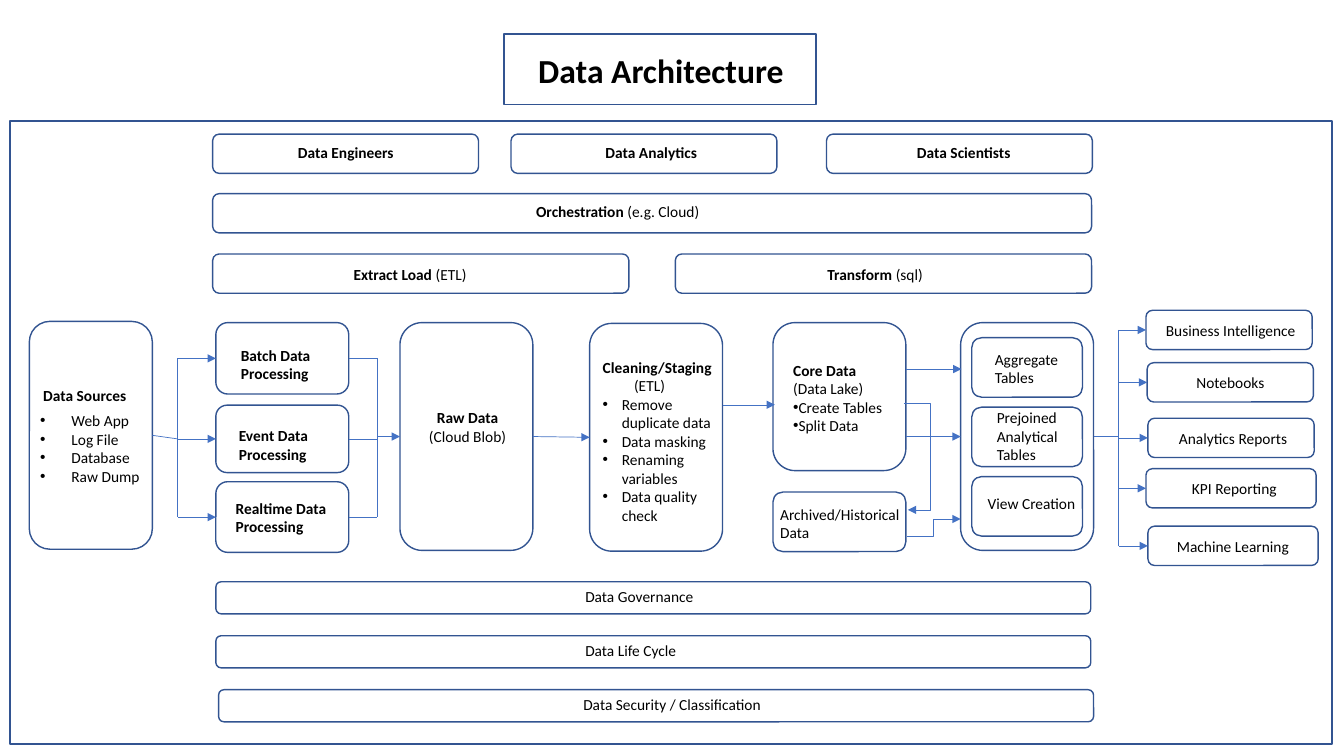
from dataclasses import dataclass

from lxml import etree
from pptx import Presentation, util as u
from pptx.dml.color import RGBColor
from pptx.enum import shapes as kinds, text as txt
from pptx.oxml.ns import qn

LEFT, RIGHT = 1, 3


@dataclass(frozen=True)
class Theme:
    """Colours, type sizes and line widths of the slide."""
    font: str = "Calibri"
    ink: str = "000000"
    outline: str = "325491"
    flow: str = "4472C4"
    title_size: float = 24
    label_size: float = 11
    outline_width: float = 1
    flow_width: float = 0.5
    thin_width: float = 0.25
    line_height: float = 0.46


class Board:
    """Draws the elements of one slide in a theme."""

    def __init__(self, slide, theme):
        self.slide, self.theme = slide, theme

    def style(self, target, **values):
        """Set each given attribute on the target."""
        for name, value in values.items():
            setattr(target, name, value)

    def stroke(self, line, colour, width):
        """Colour a line and set its width."""
        line.color.rgb = RGBColor.from_string(colour)
        line.width = u.Pt(width)

    def title(self, area, words):
        """Move, fill and format the title placeholder."""
        heading = self.slide.shapes.title
        self.style(heading, **dict(zip(("left", "top", "width", "height"), map(u.Cm, area))))
        self.style(heading.text_frame, word_wrap=True, vertical_anchor=txt.MSO_ANCHOR.TOP,
                   auto_size=txt.MSO_AUTO_SIZE.NONE)
        line = heading.text_frame.paragraphs[0]
        line.alignment = txt.PP_ALIGN.LEFT
        self.run(line, words, True, self.theme.title_size)

    def run(self, paragraph, words, bold, size):
        """Add one formatted run to a paragraph."""
        piece = paragraph.add_run()
        piece.text = words
        self.style(piece.font, name=self.theme.font, size=u.Pt(size), bold=bold)
        piece.font.color.rgb = RGBColor.from_string(self.theme.ink)

    def box(self, area, kind=kinds.MSO_SHAPE.ROUNDED_RECTANGLE):
        """Add an outlined shape without fill."""
        outline = self.slide.shapes.add_shape(kind, *map(u.Cm, area))
        outline.shadow.inherit = False
        outline.fill.background()
        self.stroke(outline.line, self.theme.outline, self.theme.outline_width)
        return outline

    def label(self, place, words, wrap=False, align=txt.PP_ALIGN.LEFT, margin=0.48, hang=0.48):
        """Add text where ** marks bold, • a bullet and > an indented line."""
        lines = words.split("\n")
        height = 0.28 + self.theme.line_height * len(lines)
        frame = self.slide.shapes.add_textbox(*map(u.Cm, (*place, height))).text_frame
        self.style(frame, word_wrap=wrap, auto_size=txt.MSO_AUTO_SIZE.SHAPE_TO_FIT_TEXT)
        for index, line in enumerate(lines):
            paragraph = frame.paragraphs[0] if index == 0 else frame.add_paragraph()
            paragraph.alignment = align
            if line[0] == "•":
                self.bullet(paragraph, margin, hang)
            elif line[0] == ">":
                paragraph._p.get_or_add_pPr().set("marL", str(u.Cm(0.79)))
            for order, part in enumerate(line.lstrip("•>").split("**")):
                if part:
                    self.run(paragraph, part, order % 2 == 1, self.theme.label_size)

    def bullet(self, paragraph, margin, hang):
        """Give a paragraph a bullet and a hanging indent."""
        properties = paragraph._p.get_or_add_pPr()
        properties.set("marL", str(u.Cm(margin)))
        properties.set("indent", str(-u.Cm(hang)))
        etree.SubElement(properties, qn("a:buFont")).set("typeface", "Arial")
        etree.SubElement(properties, qn("a:buChar")).set("char", "•")

    def node(self, area, place, words, **options):
        """Add a box with its label and return the box."""
        outline = self.box(area)
        self.label(place, words, **options)
        return outline

    def link(self, start, end, arrow=True, begin_at=None, end_at=None, width=None, bend=None):
        """Draw a connector, joined to a (shape, site) pair where given."""
        kind = kinds.MSO_CONNECTOR.ELBOW if bend else kinds.MSO_CONNECTOR.STRAIGHT
        wire = self.slide.shapes.add_connector(kind, *map(u.Cm, (*start, *end)))
        if begin_at:
            wire.begin_connect(*begin_at)
        if end_at:
            wire.end_connect(*end_at)
        self.stroke(wire.line, self.theme.flow, width or self.theme.flow_width)
        if arrow:
            etree.SubElement(wire.line._get_or_add_ln(), qn("a:tailEnd")).set("type", "triangle")
        etree.SubElement(wire._element.spPr, qn("a:effectLst"))
        if bend:
            guides = wire._element.spPr.find(qn("a:prstGeom")).get_or_add_avLst()
            guide = etree.SubElement(guides, qn("a:gd"))
            guide.set("name", "adj1")
            guide.set("fmla", f"val {round(bend * 100000)}")

    def trunk(self, x, nodes):
        """Draw the vertical line that spans the middles of the nodes."""
        self.link((x, middle(nodes[0])), (x, middle(nodes[-1])), arrow=False)

    def branch(self, x, node, side, arrow=True):
        """Draw a level line between a trunk and the side of a node."""
        point = (x, middle(node))
        if side == LEFT:
            self.link(point, point, arrow, end_at=(node, side))
        else:
            self.link(point, point, arrow, begin_at=(node, side))


def middle(node):
    """Return the height of a shape's middle in centimetres."""
    return u.Emu(node.top + node.height // 2).cm


def draw_layers(board):
    """Draw the teams, the tool layers and the foundations."""
    for x, text_x, width, team in ((5.36, 7.26, 2.95, "Data Engineers"),
                                   (12.88, 15.01, 2.84, "Data Analytics"),
                                   (20.83, 22.86, 2.92, "Data Scientists")):
        board.node((x, 3.38, 6.7, 0.99), (text_x, 3.48, width), f"**{team}**")
    board.node((5.36, 4.88, 22.15, 0.99), (13.26, 4.98, 4.67), "**Orchestration** (e.g. Cloud)")
    board.node((5.36, 6.4, 10.49, 0.99), (8.66, 6.55, 3.48), "**Extract Load **(ETL)")
    board.node((17.02, 6.4, 10.49, 0.99), (20.6, 6.55, 3.07), "**Transform** (sql)")
    foundations = ((5.44, 14.5, 3.28, "Data Governance"), (5.44, 14.5, 2.84, "Data Life Cycle"),
                   (5.51, 14.45, 5.03, "Data Security / Classification"))
    for row, (x, text_x, width, topic) in enumerate(foundations):
        y = 14.66 + 1.36 * row
        board.node((x, y, 22.05, 0.81), (text_x, y + 0.02, width), topic)


def draw_pipeline(board):
    """Draw the data flow from the sources to the outputs."""
    sources = board.node((0.74, 8.1, 3.1, 5.74), (0.84, 9.6, 4.09), "**Data Sources**", wrap=True)
    board.label((0.76, 10.24, 3.28), "•Web App\n•Log File\n•Database\n•Raw Dump",
                wrap=True, margin=0.79, hang=0.79)
    processing = [
        board.node((5.44, y, 3.35, height), place, f"**{mode}**\n**Processing**")
        for y, height, place, mode in ((8.13, 1.8, (5.82, 8.59, 2.39), "Batch Data"),
                                       (10.21, 1.7, (5.77, 10.62, 2.29), "Event Data"),
                                       (12.14, 1.78, (5.69, 12.45, 2.82), "Realtime Data"))]
    raw = board.node((10.08, 8.13, 3.35, 5.74), (10.54, 10.16, 2.49),
                     "**Raw Data**\n(Cloud Blob)", align=txt.PP_ALIGN.CENTER)
    staging = board.node((14.86, 8.15, 3.35, 5.74), (14.94, 8.89, 3.3),
                         "**Cleaning/Staging**\n>(ETL)\n•Remove duplicate data\n•Data masking\n"
                         "•Renaming variables\n•Data quality check", wrap=True)
    board.node((19.48, 8.13, 3.35, 3.73), (19.74, 8.97, 3.15),
               "**Core Data**\n(Data Lake)\n•Create Tables\n•Split Data", margin=0)
    board.node((19.48, 12.4, 3.35, 1.5), (19.41, 12.6, 3.56), "Archived/Historical\nData")
    serving = board.box((24.21, 8.13, 3.35, 5.74))
    views = (((24.82, 8.69, 2.24), "Aggregate\nTables"),
             ((24.87, 10.16, 2.13), "Prejoined\nAnalytical\nTables"),
             ((24.64, 12.32, 2.74), "View Creation"))
    for row, (place, view) in enumerate(views):
        board.node((24.49, 8.51 + 1.75 * row, 2.79, 1.5), place, view)
    outputs = [
        board.node((x, y, width, 0.99), (text_x, y + 0.15, text_width), use, wrap=use.startswith("Bus"))
        for x, y, width, text_x, text_width, use in (
            (28.88, 7.82, 4.19, 29.13, 4.2, "Business Intelligence"),
            (28.91, 9.14, 4.19, 29.9, 2.24, "Notebooks"),
            (28.93, 10.54, 4.19, 29.46, 3.25, "Analytics Reports"),
            (28.88, 11.81, 4.29, 29.79, 2.67, "KPI Reporting"),
            (28.93, 13.26, 4.29, 29.41, 3.35, "Machine Learning"))]

    intake, merge, delivery = 4.48, 9.5, 28.19
    board.link((3.84, 10.97), (intake, middle(processing[1])), False, begin_at=(sources, RIGHT))
    board.trunk(intake, processing)
    board.trunk(merge, processing)
    for mode in processing:
        board.branch(intake, mode, LEFT)
        board.branch(merge, mode, RIGHT, arrow=False)
    board.branch(merge, raw, LEFT)
    board.link((13.43, 11), (14.86, 11), begin_at=(raw, RIGHT), end_at=(staging, LEFT))
    thin = board.theme.thin_width
    board.link((18.21, 10.2), (19.53, 10.2), width=thin)
    board.link((22.83, 9.3), (24.23, 9.3), width=thin)
    board.link((22.83, 11), (24.21, 11), end_at=(serving, LEFT), width=thin)
    board.link((22.86, 13.51), (24.21, 13.08), bend=0.5)
    board.link((22.78, 10.16), (22.88, 12.85), bend=6.6)
    board.branch(delivery, serving, RIGHT, arrow=False)
    board.trunk(delivery, outputs)
    for use in outputs:
        board.branch(delivery, use, LEFT)


def main():
    """Build the slide and save it."""
    deck = Presentation()
    deck.slide_width, deck.slide_height = u.Cm(33.87), u.Cm(19.05)
    board = Board(deck.slides.add_slide(deck.slide_layouts[5]), Theme())
    board.box((0.25, 3.05, 33.32, 15.7), kinds.MSO_SHAPE.RECTANGLE)
    board.box((12.7, 0.86, 7.87, 1.78), kinds.MSO_SHAPE.RECTANGLE)
    board.title((13.31, 1.12, 7.11, 1.27), "Data Architecture")
    draw_layers(board)
    draw_pipeline(board)
    deck.save("out.pptx")


if __name__ == "__main__":
    main()
